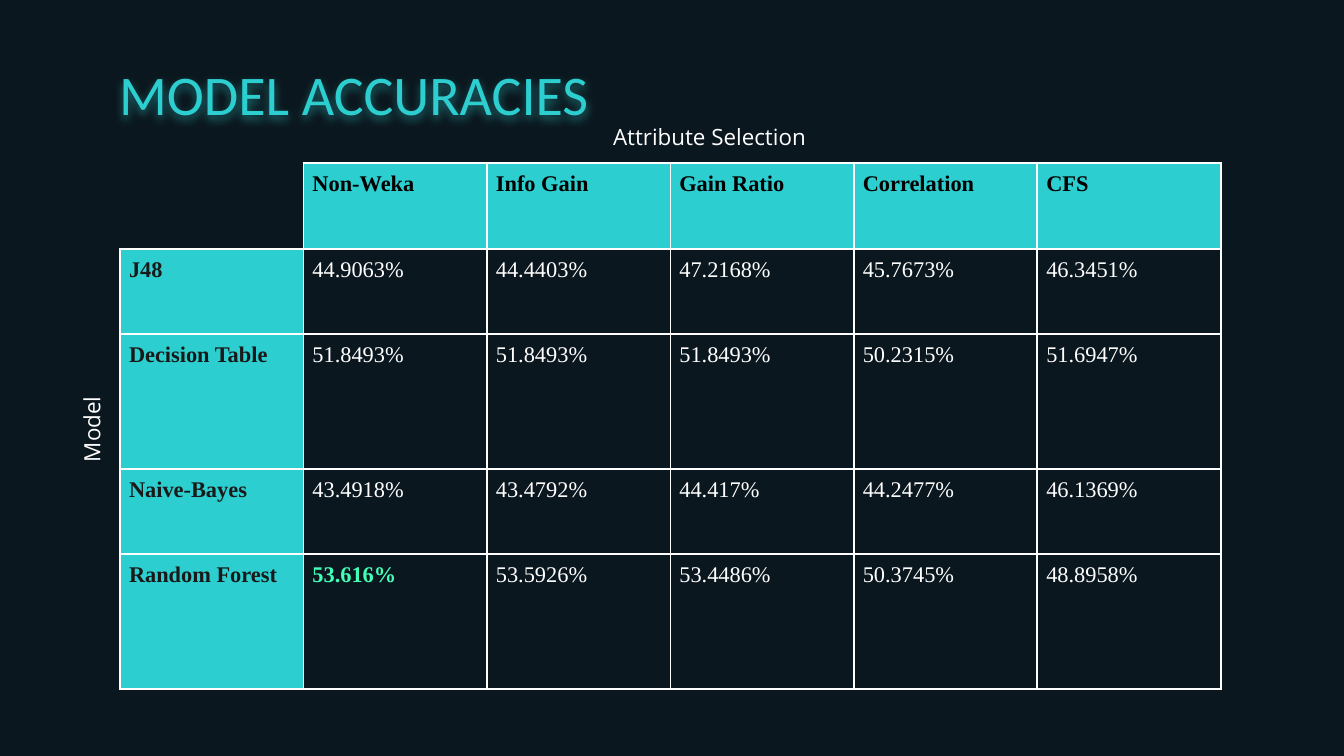
import dataclasses

import pptx
import pptx.dml.color
import pptx.enum.text
import pptx.oxml
import pptx.oxml.ns
import pptx.util

SLIDE_W, SLIDE_H = 1344, 756
EMU_PER_PX = 9144000 / SLIDE_W
TEAL, WHITE, NIGHT, BLACK, INK, GREEN = (
    "2DCECF", "FFFFFF", "0B171E", "000000", "191919", "42FFB7")
NS = pptx.oxml.ns.nsdecls("a")

TABLE_BOX = (120, 163, 1101, 526)
ROW_HEIGHTS = [86, 85, 135, 85, 135]
ROWS = [
    ["", "Non-Weka", "Info Gain", "Gain Ratio", "Correlation", "CFS"],
    ["J48", "44.9063%", "44.4403%", "47.2168%", "45.7673%", "46.3451%"],
    ["Decision Table", "51.8493%", "51.8493%", "51.8493%", "50.2315%", "51.6947%"],
    ["Naive-Bayes", "43.4918%", "43.4792%", "44.417%", "44.2477%", "46.1369%"],
    ["Random Forest", "53.616%", "53.5926%", "53.4486%", "50.3745%", "48.8958%"],
]
BEST = (4, 1)


@dataclasses.dataclass
class Label:
    text: str
    box: tuple[int, int, int, int]
    rotation: int = 0


LABELS = [
    Label("Model", (36, 406, 98, 40), 270),
    Label("Attribute Selection", (600, 110, 228, 30)),
]


def px(n: int) -> int:
    return round(n * EMU_PER_PX)


def rgb(value: str) -> pptx.dml.color.RGBColor:
    return pptx.dml.color.RGBColor.from_string(value)


def set_attrs(obj: object, values: dict) -> None:
    for name, value in values.items():
        setattr(obj, name, value)


def margins(n: int) -> dict:
    return {f"margin_{side}": px(n) for side in ("left", "top", "right", "bottom")}


def write(tf, text: str, font: str, size: int, color: str, bold: bool = False) -> None:
    p = tf.paragraphs[0]
    p.alignment = pptx.enum.text.PP_ALIGN.LEFT
    r = p.add_run()
    r.text = text
    set_attrs(r.font, {"name": font, "size": pptx.util.Pt(size), "bold": bold})
    r.font.color.rgb = rgb(color)


def add_title(slide, text: str) -> None:
    sp = slide.shapes.title
    set_attrs(sp, dict(zip(("left", "top", "width", "height"),
                           map(px, (106, 55, 1218, 85)))))
    tf = sp.text_frame
    set_attrs(tf, margins(13) | {
        "word_wrap": True,
        "auto_size": pptx.enum.text.MSO_AUTO_SIZE.NONE,
        "vertical_anchor": pptx.enum.text.MSO_ANCHOR.BOTTOM,
    })
    write(tf, text, "Calibri", 30, TEAL)
    # Soft teal shadow under the letters
    sp._element.spPr.append(pptx.oxml.parse_xml(
        f'<a:effectLst {NS}><a:outerShdw blurRad="57150" dist="19050" dir="5400000" '
        f'algn="bl" rotWithShape="0"><a:srgbClr val="{TEAL}"><a:alpha val="50000"/>'
        '</a:srgbClr></a:outerShdw></a:effectLst>'))


def add_label(slide, label: Label) -> None:
    sp = slide.shapes.add_textbox(*map(px, label.box))
    sp.rotation = label.rotation
    set_attrs(sp.text_frame, margins(13) | {"word_wrap": True})
    write(sp.text_frame, label.text, "Open Sans", 12, WHITE)


def set_borders(cell, visible: str) -> None:
    tc_pr = cell._tc.get_or_add_tcPr()
    for side in "LRTB":
        paint = (f'<a:solidFill><a:srgbClr val="{WHITE}"/></a:solidFill>'
                 if side in visible else "<a:noFill/>")
        tc_pr.append(pptx.oxml.parse_xml(
            f'<a:ln{side} {NS} w="12700">{paint}</a:ln{side}>'))


def add_accuracy_table(slide) -> None:
    table = slide.shapes.add_table(
        len(ROWS), len(ROWS[0]), *map(px, TABLE_BOX)).table
    set_attrs(table, {"first_row": False, "horz_banding": False})
    for row, height in zip(table.rows, ROW_HEIGHTS):
        row.height = px(height)
    for i, values in enumerate(ROWS):
        for j, text in enumerate(values):
            cell = table.cell(i, j)
            set_attrs(cell, margins(9))
            set_borders(cell, "LRTB" if text else "RB")
            is_header = bool(text) and (i == 0 or j == 0)
            if is_header:
                cell.fill.solid()
                cell.fill.fore_color.rgb = rgb(TEAL)
                color = BLACK if i == 0 else INK
            else:
                cell.fill.background()
                color = GREEN if (i, j) == BEST else WHITE
            if text:
                write(cell.text_frame, text, "Times New Roman", 12, color,
                      is_header or (i, j) == BEST)


def main() -> None:
    prs = pptx.Presentation()
    set_attrs(prs, {"slide_width": px(SLIDE_W), "slide_height": px(SLIDE_H)})
    slide = prs.slides.add_slide(prs.slide_layouts[5])
    slide.background.fill.solid()
    slide.background.fill.fore_color.rgb = rgb(NIGHT)

    add_title(slide, "MODEL ACCURACIES")
    add_accuracy_table(slide)
    # Axis names beside and above the table
    for label in LABELS:
        add_label(slide, label)
    prs.save("out.pptx")


if __name__ == "__main__":
    main()
